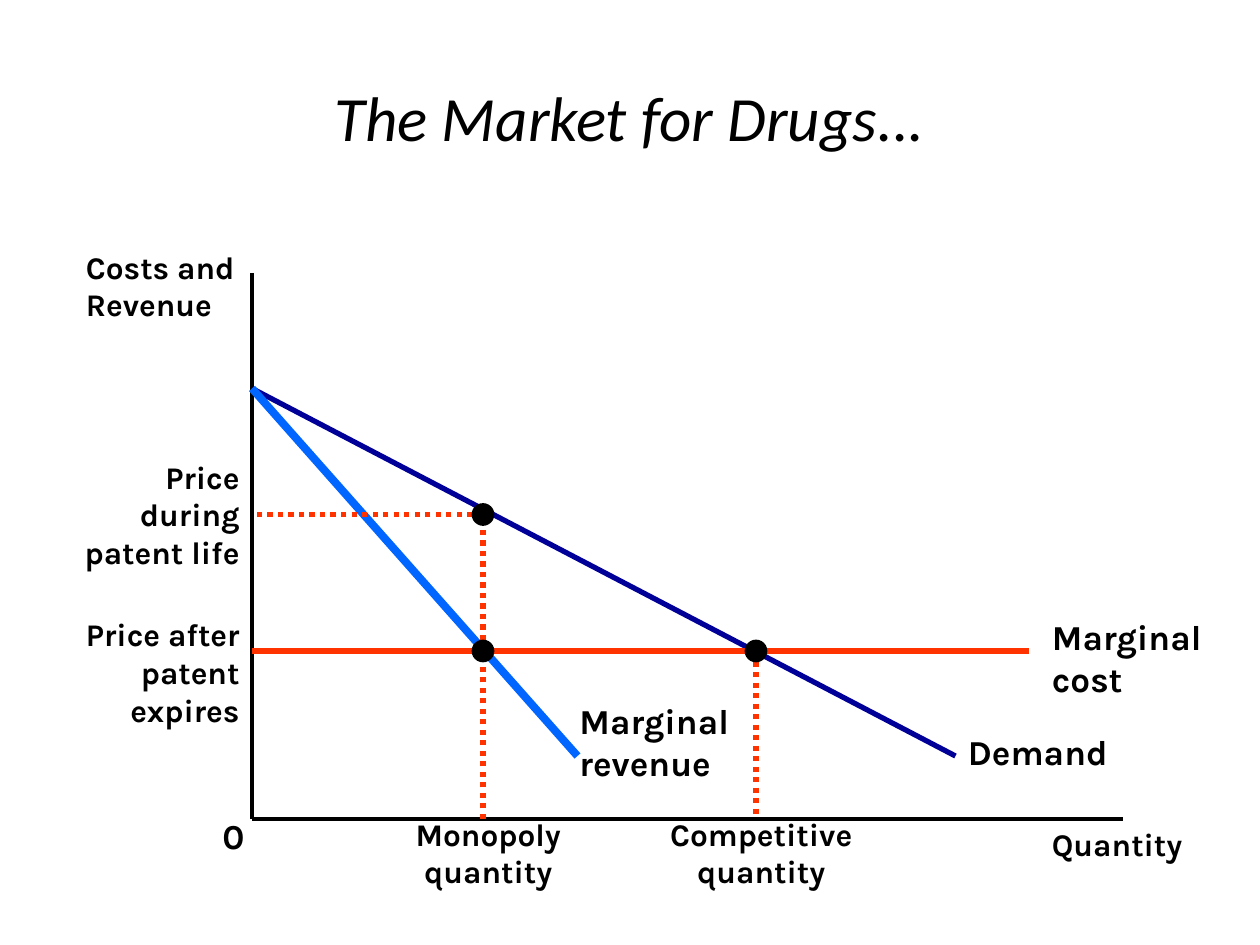
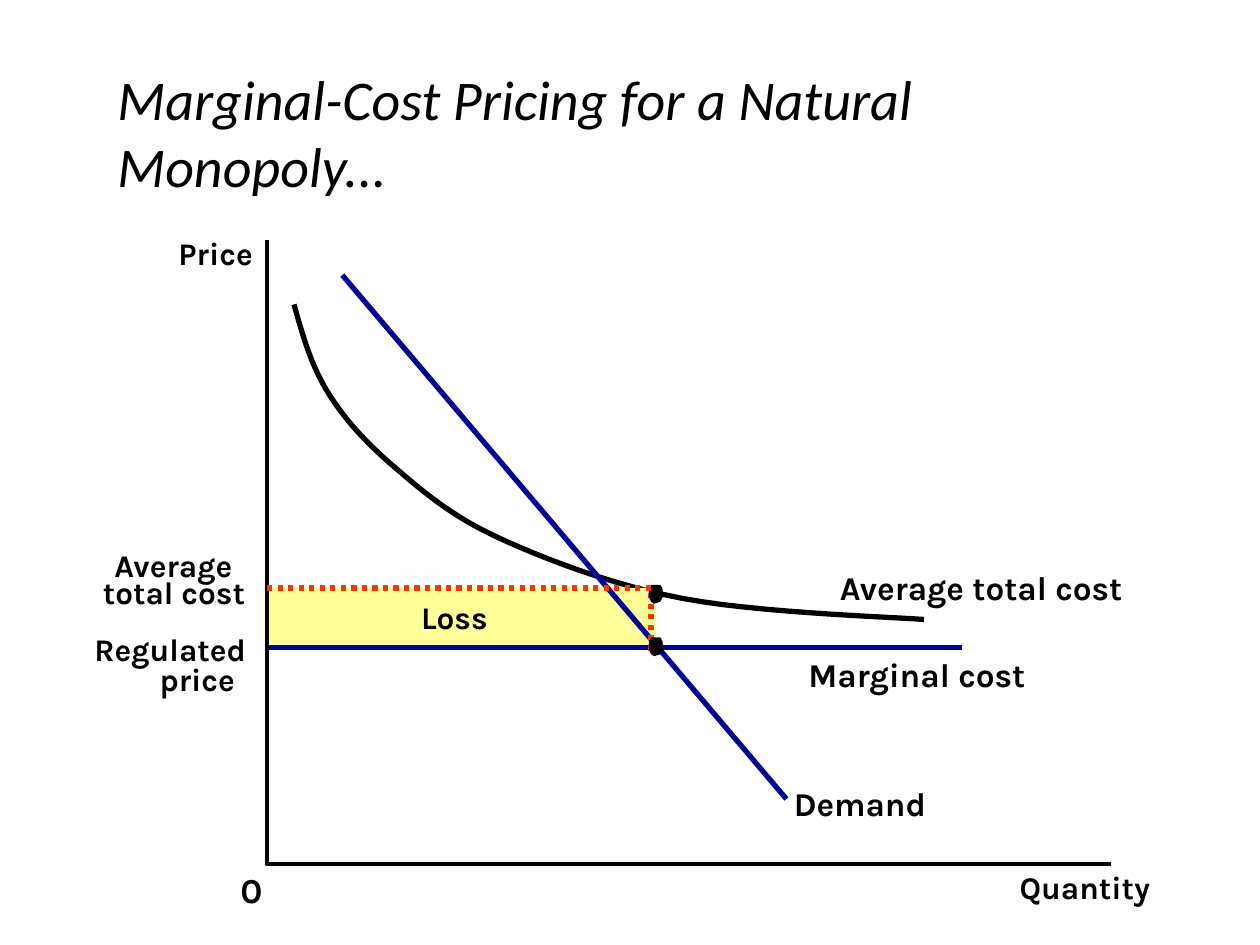
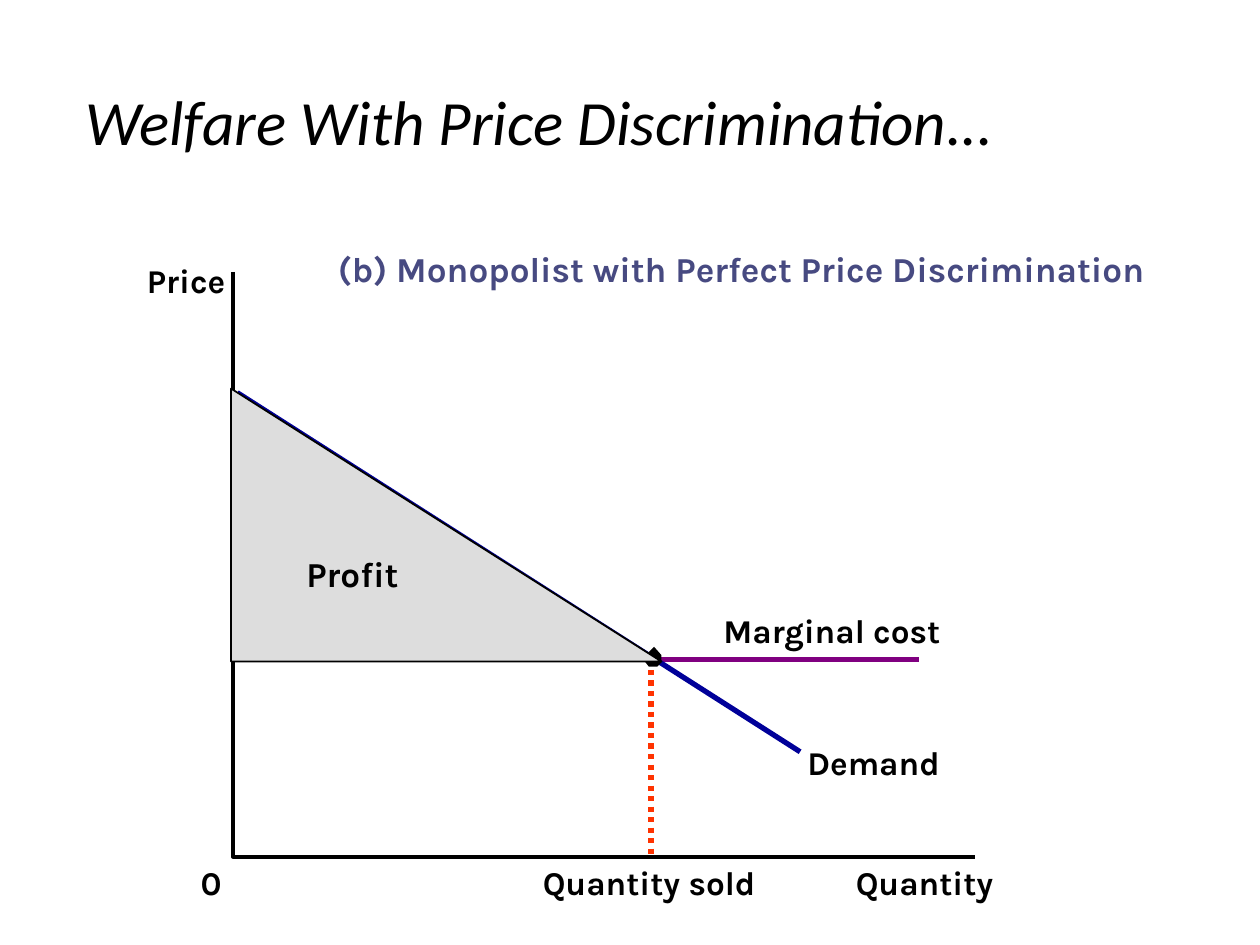
from pptx import Presentation
from pptx.dml.color import RGBColor
from pptx.enum.dml import MSO_LINE
from pptx.enum.shapes import MSO_CONNECTOR, MSO_SHAPE
from pptx.enum.text import MSO_ANCHOR, PP_ALIGN
from pptx.oxml.ns import qn
from pptx.util import Inches, Pt
from lxml.etree import SubElement

COLS, ROWS = 120, 90
CELL = Inches(10) / COLS
BLACK, NAVY, BLUE, RED = "000000", "000099", "0066FF", "FF3300"
PURPLE, SLATE, YELLOW, GREY = "800080", "474A81", "FFFF99", "DDDDDD"
LEFT, MID, RIGHT = PP_ALIGN.LEFT, PP_ALIGN.CENTER, PP_ALIGN.RIGHT

# Outlines of the point markers, from their top left corner
OCTAGON = [(0.5, 1.8), (1.1, 1.6), (1.3, 1.2), (1.3, 0.4), (1.1, 0),
           (0.2, 0), (0, 0.4), (0, 1.2), (0.2, 1.6)]
DIAMOND = [(0.7, 1.9), (1.5, 1.9), (1.9, 1.5), (1.9, 0.8), (1.2, 0),
           (0.4, 0.8), (0, 1.2), (0.4, 1.5)]


def grid(*cells):
    """Turn grid cells into slide lengths."""
    return [round(c * CELL) for c in cells]


def rgb(code):
    return RGBColor.from_string(code)


def stroke(line, color, width):
    line.color.rgb = rgb(color)
    line.width = Pt(width)


def paint(shape, fill=None, edge=None, width=1):
    shape.shadow.inherit = False
    if fill:
        shape.fill.solid()
        shape.fill.fore_color.rgb = rgb(fill)
    else:
        shape.fill.background()
    if edge:
        stroke(shape.line, edge, width)
    else:
        shape.line.fill.background()


def write(slide, text, box, size, align=LEFT, color=BLACK, face="Karla"):
    frame = slide.shapes.add_textbox(*grid(*box)).text_frame
    frame.word_wrap = True
    para = frame.paragraphs[0]
    para.alignment = align
    run = para.add_run()
    run.text = text
    font = run.font
    font.name, font.size, font.color.rgb = face, Pt(size), rgb(color)
    font.bold, font.italic = face == "Karla", face != "Karla"
    return frame


def title(slide, text, x, y, wide=102, size=36, align=LEFT):
    frame = write(slide, text, (x, y, wide, 15), size, align, face="Calibri")
    frame.vertical_anchor = MSO_ANCHOR.MIDDLE


def label(slide, text, x, y, wide, rows=1, size=18, align=LEFT, color=BLACK):
    """Wrapped text with the usual margins, as tall as its rows."""
    write(slide, text, (x, y, wide, rows * size / 5 + 1.2), size, align, color)


def tag(slide, text, x, y, wide, size=19):
    """One line of text without margins."""
    frame = write(slide, text, (x, y, wide, size / 5), size)
    frame.word_wrap = False
    frame.margin_left = frame.margin_right = 0
    frame.margin_top = frame.margin_bottom = 0


def line(slide, x1, y1, x2, y2, color, width=3, dots=False):
    link = slide.shapes.add_connector(MSO_CONNECTOR.STRAIGHT, *grid(x1, y1, x2, y2))
    stroke(link.line, color, width)
    if dots:
        link.line.dash_style = MSO_LINE.ROUND_DOT
    SubElement(link._element.spPr, qn("a:effectLst"))


def dotted(slide, *ends):
    line(slide, *ends, RED, dots=True)


def block(slide, kind, box, fill, edge=None):
    paint(slide.shapes.add_shape(kind, *grid(*box)), fill, edge)


def trace(slide, points, fill=None, edge=None, width=3, close=False):
    spots = [grid(*p) for p in points]
    pen = slide.shapes.build_freeform(*spots[0], scale=1.0)
    pen.add_line_segments(spots[1:], close=close)
    paint(pen.convert_to_shape(), fill, edge, width)


def axes(slide, x, top, base, end):
    trace(slide, [(x, top), (x, base), (end, base)], edge=BLACK, width=2.25)


def mark(slide, x, y, outline):
    trace(slide, [(x + dx, y + dy) for dx, dy in outline], BLACK, close=True)


def bend(knots, steps=12):
    """Points on a chain of cubic curves: start, then two handles and an end each."""
    points = [knots[0]]
    for k in range(0, len(knots) - 1, 3):
        a, b, c, d = knots[k:k + 4]
        for s in range(1, steps + 1):
            t = s / steps
            u = 1 - t
            points.append(tuple(
                u**3 * p + 3 * u * u * t * q + 3 * u * t * t * r + t**3 * e
                for p, q, r, e in zip(a, b, c, d)))
    return points


def drugs(slide):
    axis, base, peak, foot = 24, 78, 37, 72
    few, many, high, cost = 46, 72, 49, 62
    title(slide, "The Market for Drugs...", 6, 3.6, 108, align=MID)
    line(slide, axis, 26, axis, base, BLACK, 2.25)
    line(slide, axis, base, 107, base, BLACK, 2.25)
    line(slide, axis, peak, 91, foot, NAVY)
    line(slide, axis, peak, 55, foot, BLUE, 4.5)
    line(slide, axis, cost, 98, cost, RED)
    label(slide, "Costs and Revenue", 7, 23, 21, 2)
    label(slide, "Price during patent life", 5, 43, 19, 3, align=RIGHT)
    label(slide, "Price after patent expires", 5, 58, 19, 3, align=RIGHT)
    label(slide, "Monopoly quantity", 37, 77, 19, 2, align=MID)
    label(slide, "Competitive quantity", 62, 77, 21, 2, align=MID)
    label(slide, "0", 20, 77, 6, size=20)
    label(slide, "Quantity", 99, base, 21)
    label(slide, "Demand", 91, 69, 21, size=20)
    label(slide, "Marginal cost", 99, 58, 21, 2, 20)
    label(slide, "Marginal revenue", 54, 66, 21, 2, 20)
    dotted(slide, many, cost, many, base)
    dotted(slide, few, base, few, high)
    dotted(slide, few, high, axis, high)
    for x, y in ((many, cost), (few, cost), (few, high)):
        block(slide, MSO_SHAPE.OVAL, (x - 1, y - 1, 2, 2), BLACK, BLACK)


def pricing(slide):
    axis, sold, mean, cost = 25.4, 62, 56, 61.7
    trace(slide, bend([
        (28, 29), (28.8, 31.8), (29.5, 34.4), (31, 37),
        (32.5, 39.5), (34.3, 41.6), (37, 44),
        (39.7, 46.3), (42.4, 48.8), (47, 51),
        (51.7, 53.2), (58.2, 55.7), (65, 57),
        (71.9, 58.3), (83.2, 58.7), (88, 59)]), edge=BLACK)
    title(slide, "Marginal-Cost Pricing for a Natural Monopoly...", 10, 5, size=32)
    block(slide, MSO_SHAPE.RECTANGLE, (axis, mean, 37, cost - mean), YELLOW)
    for text, x, y, wide, size in (
            ("Regulated", 9, 60, 15.4, 18), ("price", 15.2, 62.9, 7.6, 18),
            ("Quantity", 97.1, 82.7, 13.3, 18), ("0", 22.9, 82.7, 1.9, 20),
            ("Loss", 40.1, 57, 6.6, 18), ("Price", 17, 22.3, 7.4, 18),
            ("Demand", 75.6, 74.6, 13.3, 19),
            ("Marginal cost", 77, 62.3, 21.6, 19),
            ("Average total cost", 80, 54, 28.8, 19),
            ("Average", 10.9, 52, 12.4, 18), ("total cost", 9.8, 54.6, 14.1, 18)):
        tag(slide, text, x, y, wide, size)
    line(slide, 32.6, 26.2, 74.9, 76.1, NAVY)
    line(slide, axis, cost, 91.6, cost, NAVY)
    axes(slide, axis, 22.9, 82.3, 105.8)
    dotted(slide, sold, 62, sold, mean)
    for y in (60.7, 55.7):
        mark(slide, 61.8, y, OCTAGON)
    dotted(slide, sold, mean, 25, mean)


def welfare(slide):
    axis, sold, cost, low = 22.2, 62, 62.8, 82.1
    title(slide, "Welfare With Price Discrimination...", 7, 4)
    for text, x, y, wide in (
            ("Price", 14, 24.8, 7.9), ("0", 19.1, low, 1.8),
            ("Quantity", 81.5, low, 14), ("Quantity sold", 51.7, low, 21.4),
            ("Demand", 76.9, 70.7, 13.3), ("Marginal cost", 68.9, 58.1, 21.6)):
        tag(slide, text, x, y, wide)
    line(slide, axis, cost, 87.5, cost, PURPLE)
    line(slide, 22.6, 37.4, 76.2, 71.6, NAVY)
    axes(slide, axis, 25.9, 81.6, 92.9)
    dotted(slide, sold, cost, sold, 81.7)
    mark(slide, 61.1, 61.6, DIAMOND)
    label(slide, "(b) Monopolist with Perfect Price Discrimination",
          31, 23, 86, size=20, color=SLATE)
    block(slide, MSO_SHAPE.RIGHT_TRIANGLE, (22, 37, 41, 26), GREY, BLACK)
    label(slide, "Profit", 28, 52, 15, size=20)


def main():
    deck = Presentation()
    deck.slide_width, deck.slide_height = grid(COLS, ROWS)
    for draw in (drugs, pricing, welfare):
        draw(deck.slides.add_slide(deck.slide_layouts[6]))
    deck.save("out.pptx")


if __name__ == "__main__":
    main()
